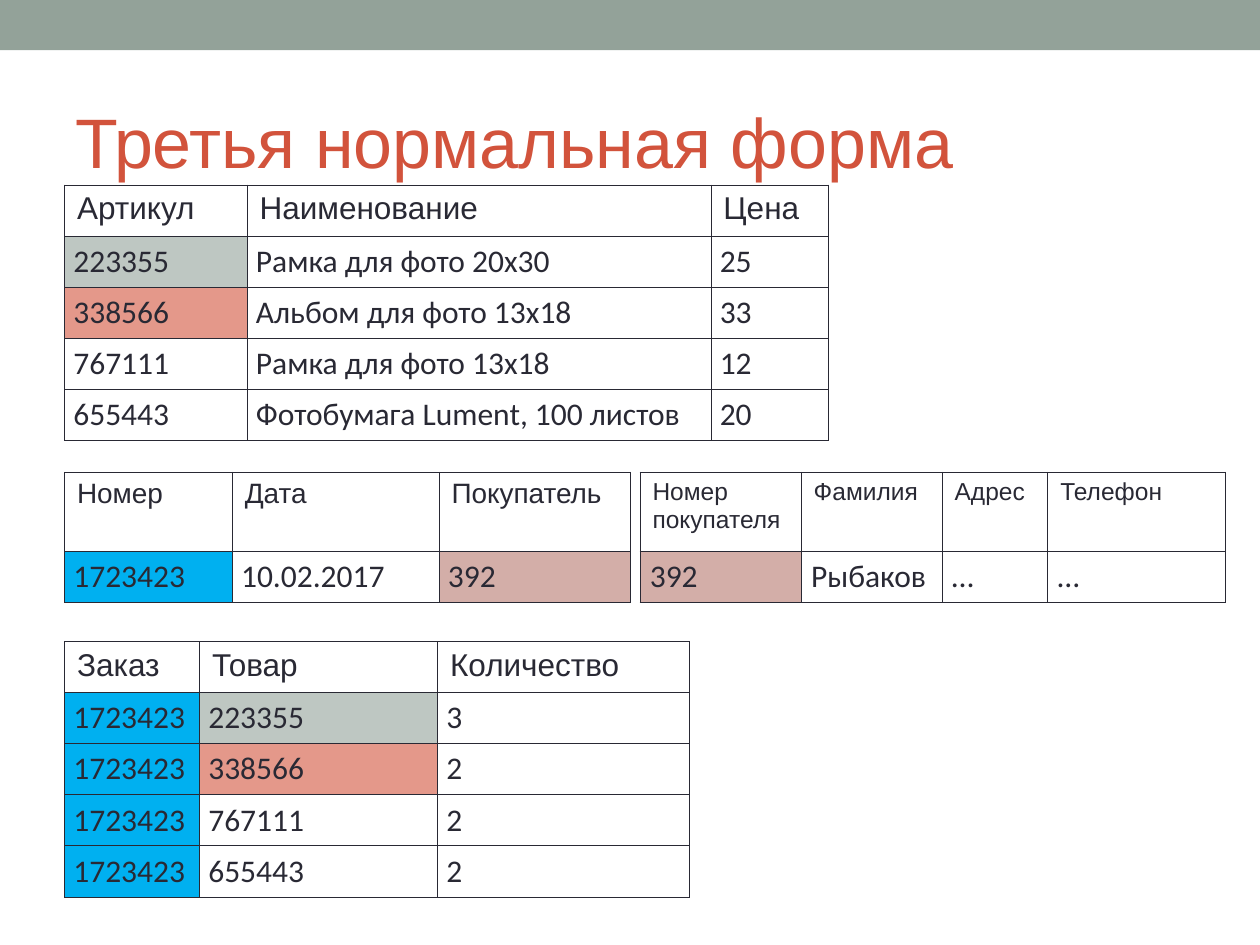
"""Build the slide on the third normal form with its four linked tables."""
import dataclasses

import lxml.etree
import pptx
import pptx.dml.color
import pptx.enum.shapes
import pptx.enum.text
import pptx.oxml.ns
import pptx.util

Cm = pptx.util.Cm
Pt = pptx.util.Pt
RGBColor = pptx.dml.color.RGBColor

BAND = RGBColor(0x93, 0xA2, 0x99)
HEADING = RGBColor(0xD2, 0x53, 0x3C)
INK = RGBColor(0x29, 0x29, 0x34)
KEY_FILLS = {
    "223355": RGBColor(0xBE, 0xC7, 0xC2),
    "338566": RGBColor(0xE4, 0x98, 0x8A),
    "1723423": RGBColor(0x00, 0xB0, 0xF0),
    "392": RGBColor(0xD3, 0xAE, 0xA8),
}
ROW_HEIGHT = 1.03
TALL_HEADER = 1.6
LEFT = 1.3
MIDDLE_TOP = 9.52


@dataclasses.dataclass(frozen=True)
class Relation:
    """A database table with its place and sizes in centimetres."""

    left: float
    top: float
    widths: tuple[float, ...]
    records: tuple[tuple[str, ...], ...]
    header_height: float = ROW_HEIGHT
    header_size: int = 18
    side_margin: float = 0.18


PRODUCTS = Relation(LEFT, 3.73, (3.68, 9.35, 2.36), (
    ("Артикул", "Наименование", "Цена"),
    ("223355", "Рамка для фото 20х30", "25"),
    ("338566", "Альбом для фото 13х18", "33"),
    ("767111", "Рамка для фото 13х18", "12"),
    ("655443", "Фотобумага Lument, 100 листов", "20"),
))
ORDERS = Relation(LEFT, MIDDLE_TOP, (3.38, 4.17, 3.86), (
    ("Номер", "Дата", "Покупатель"),
    ("1723423", "10.02.2017", "392"),
), TALL_HEADER, 16)
ORDER_ITEMS = Relation(LEFT, 12.93, (2.72, 4.8, 5.08), (
    ("Заказ", "Товар", "Количество"),
    ("1723423", "223355", "3"),
    ("1723423", "338566", "2"),
    ("1723423", "767111", "2"),
    ("1723423", "655443", "2"),
))
CUSTOMERS = Relation(12.9, MIDDLE_TOP, (3.25, 2.84, 2.13, 3.58), (
    ("Номер покупателя", "Фамилия", "Адрес", "Телефон"),
    ("392", "Рыбаков", "…", "…"),
), TALL_HEADER, 14, 0.2)


def add_text(paragraph, text: str, font: str, size: int, color: RGBColor) -> None:
    """Add one formatted run to a paragraph."""
    run = paragraph.add_run()
    run.text = text
    run.font.name = font
    run.font.size = Pt(size)
    run.font.color.rgb = color


def add_borders(cell) -> None:
    """Draw a thin line on all four sides of a cell."""
    qn = pptx.oxml.ns.qn
    properties = cell._tc.get_or_add_tcPr()
    for side in ("a:lnL", "a:lnR", "a:lnT", "a:lnB"):
        line = lxml.etree.SubElement(properties, qn(side), w=str(Pt(0.45)))
        fill = lxml.etree.SubElement(line, qn("a:solidFill"))
        lxml.etree.SubElement(fill, qn("a:srgbClr"), val=str(INK))


def fill_cell(cell, text: str, is_header: bool, relation: Relation) -> None:
    """Write one value and colour the cell by its key."""
    add_borders(cell)
    if text in KEY_FILLS:
        cell.fill.solid()
        cell.fill.fore_color.rgb = KEY_FILLS[text]
    else:
        cell.fill.background()
    if not is_header:
        cell.margin_left = cell.margin_right = Cm(relation.side_margin)
    font, size = ("Arial", relation.header_size) if is_header else ("Calibri", 18)
    add_text(cell.text_frame.paragraphs[0], text, font, size, INK)


def draw_relation(slide, relation: Relation) -> None:
    """Draw a relation as a bordered table."""
    heights = [relation.header_height] + [ROW_HEIGHT] * (len(relation.records) - 1)
    table = slide.shapes.add_table(
        len(heights), len(relation.widths), Cm(relation.left), Cm(relation.top),
        Cm(sum(relation.widths)), Cm(sum(heights))).table
    table.first_row = False
    table.horz_banding = False
    for column, width in zip(table.columns, relation.widths):
        column.width = Cm(width)
    for index, (height, record) in enumerate(zip(heights, relation.records)):
        table.rows[index].height = Cm(height)
        for position, text in enumerate(record):
            fill_cell(table.cell(index, position), text, index == 0, relation)


def draw_heading(slide, width: int) -> None:
    """Draw the top band and the slide title."""
    band = slide.shapes.add_shape(
        pptx.enum.shapes.MSO_SHAPE.RECTANGLE, 0, 0, width, Cm(1.01))
    band.shadow.inherit = False
    band.fill.solid()
    band.fill.fore_color.rgb = BAND
    band.line.fill.background()
    title = slide.shapes.add_textbox(Cm(1.27), Cm(1.47), Cm(22.86), Cm(2.74)).text_frame
    title.word_wrap = True
    title.vertical_anchor = pptx.enum.text.MSO_ANCHOR.MIDDLE
    add_text(title.paragraphs[0], "Третья нормальная форма", "Arial", 40, HEADING)


def main() -> None:
    """Assemble and save the presentation."""
    deck = pptx.Presentation()
    deck.slide_width = Cm(25.4)
    deck.slide_height = Cm(19.05)
    slide = deck.slides.add_slide(deck.slide_layouts[6])
    draw_heading(slide, deck.slide_width)
    for relation in (PRODUCTS, ORDERS, ORDER_ITEMS, CUSTOMERS):
        draw_relation(slide, relation)
    deck.save("out.pptx")


if __name__ == "__main__":
    main()
